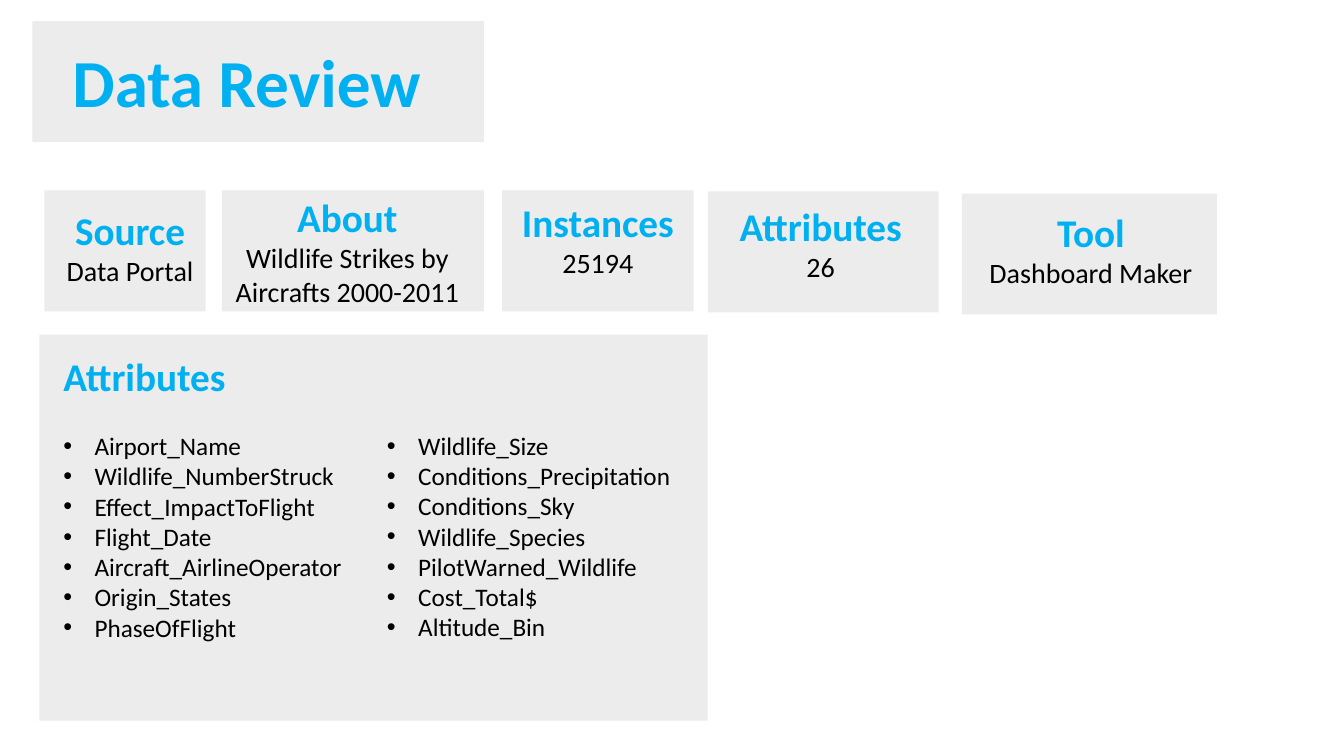
from lxml import etree
from pptx import Presentation
from pptx.dml.color import RGBColor
from pptx.enum.shapes import MSO_SHAPE
from pptx.enum.text import MSO_AUTO_SIZE, PP_ALIGN
from pptx.oxml.ns import qn
from pptx.util import Inches, Pt

BLUE = RGBColor(0x00, 0xB0, 0xF0)
BLACK = RGBColor(0x00, 0x00, 0x00)
GRAY = RGBColor(0xE7, 0xE6, 0xE6)

prs = Presentation()
prs.slide_width, prs.slide_height = Inches(13.33), Inches(7.5)
s = prs.slides.add_slide(prs.slide_layouts[6])


def add_panel(*box):
    """Gray rectangle at 75 % opacity."""
    sp = s.shapes.add_shape(MSO_SHAPE.RECTANGLE, *map(Inches, box))
    sp.shadow.inherit = False
    sp.line.fill.background()
    sp.fill.solid()
    sp.fill.fore_color.rgb = GRAY
    color = sp.fill._xPr.find(qn("a:solidFill"))[0]
    etree.SubElement(color, qn("a:alpha"), val="75000")


def add_text(box, lines, align=PP_ALIGN.LEFT):
    """Text box with lines of (text, size, is_heading, is_bullet)."""
    tf = s.shapes.add_textbox(*map(Inches, box)).text_frame
    tf.word_wrap = True
    tf.auto_size = MSO_AUTO_SIZE.SHAPE_TO_FIT_TEXT
    for i, (text, size, is_heading, is_bullet) in enumerate(lines):
        p = tf.paragraphs[0] if i == 0 else tf.add_paragraph()
        p.alignment = align
        if is_bullet:
            pPr = p._p.get_or_add_pPr()
            pPr.set("marL", str(Inches(0.31)))
            pPr.set("indent", str(-Inches(0.31)))
            etree.SubElement(pPr, qn("a:buFont"), typeface="Arial")
            etree.SubElement(pPr, qn("a:buChar"), char="•")
        r = p.add_run()
        r.text = text
        r.font.name = "Calibri"
        r.font.size = Pt(size)
        r.font.bold = is_heading
        r.font.color.rgb = BLUE if is_heading else BLACK
    return tf


# Title
add_panel(0.32, 0.21, 4.48, 1.2)
add_text((0.62, 0.35, 3.88, 0.91), [("Data Review", 48, True, False)])

# Fact cards: heading, value, panel (left, top, width), text box
cards = [
    ("Source", "Data Portal", (0.44, 1.89, 1.6), (0.49, 2, 1.6, 0.91)),
    ("About", "Wildlife Strikes by Aircrafts 2000-2011",
     (2.2, 1.89, 2.6), (2.14, 1.87, 2.61, 1.25)),
    ("Instances", "25194", (4.98, 1.89, 1.9), (5.02, 1.92, 1.82, 0.91)),
    ("Attributes", "26", (7.02, 1.9, 2.29), (6.89, 1.96, 2.5, 0.91)),
    ("Tool", "Dashboard Maker", (9.54, 1.92, 2.53), (9.57, 2.02, 2.5, 0.91)),
]
for heading, value, panel, box in cards:
    add_panel(*panel, 1.2)
    add_text(box, [(heading, 28, True, False), (value, 20, False, False)],
             PP_ALIGN.CENTER)

# Attribute list in two columns
left_names = ["Airport_Name", "Wildlife_NumberStruck", "Effect_ImpactToFlight",
              "Flight_Date", "Aircraft_AirlineOperator", "Origin_States",
              "PhaseOfFlight"]
right_names = ["Wildlife_Size", "Conditions_Precipitation", "Conditions_Sky",
               "Wildlife_Species", "PilotWarned_Wildlife", "Cost_Total$",
               "Altitude_Bin"]
add_panel(0.39, 3.32, 6.63, 3.83)
tf = add_text((0.53, 3.45, 3.37, 3),
              [("Attributes", 28, True, False)]
              + [(name, 18, False, True) for name in left_names])
tf.paragraphs[1].space_before = Pt(22)
add_text((3.74, 4.22, 3.67, 2.23),
         [(name, 18, False, True) for name in right_names])

prs.save("out.pptx")
